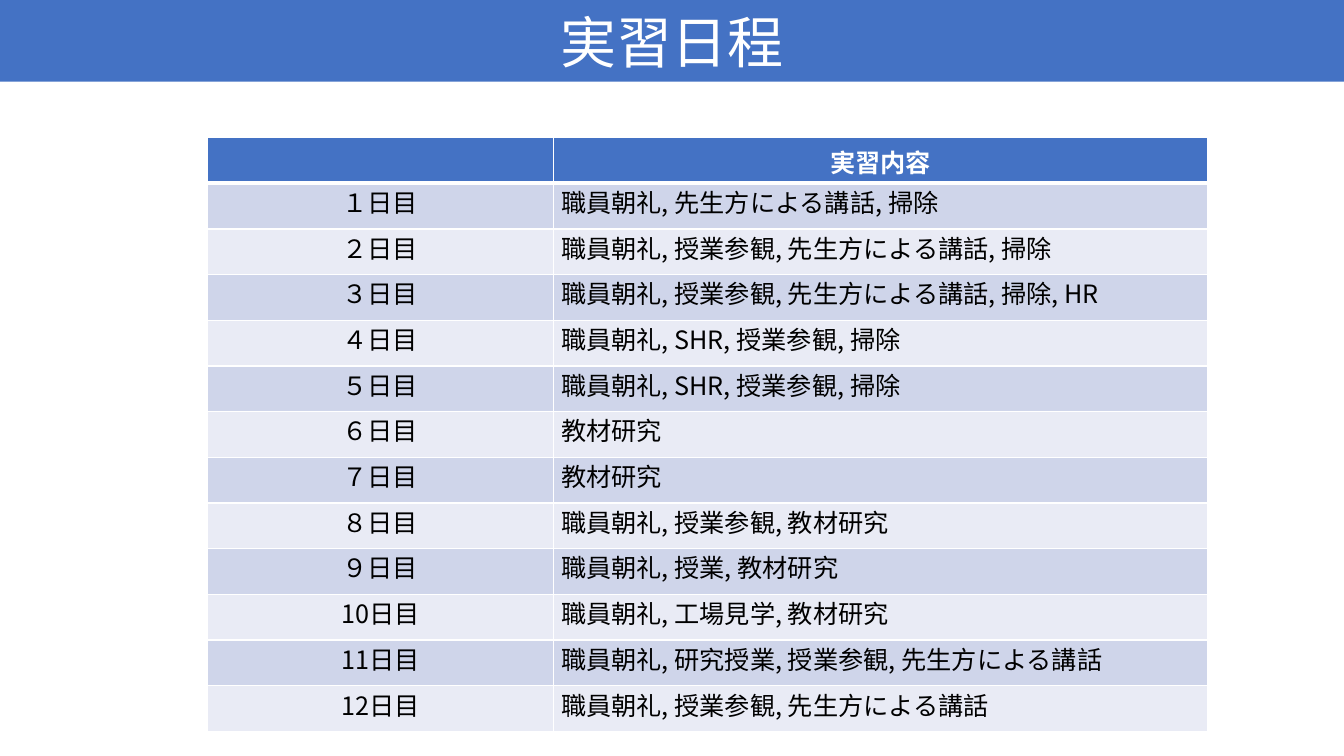
from lxml.etree import SubElement as Sub
from pptx import Presentation
from pptx.dml.color import RGBColor as RGB
from pptx.enum.shapes import MSO_SHAPE as Shape
from pptx.enum.text import MSO_ANCHOR as Anchor, PP_ALIGN as Align
from pptx.oxml.ns import qn
from pptx.util import Pt

BLUE, WHITE, BLACK = "4472C4", "FFFFFF", "000000"
BANDS = ["CFD5EA", "E9EBF5"]
PLAN = [
    ("１日目", "職員朝礼, 先生方による講話, 掃除"),
    ("２日目", "職員朝礼, 授業参観, 先生方による講話, 掃除"),
    ("３日目", "職員朝礼, 授業参観, 先生方による講話, 掃除, HR"),
    ("４日目", "職員朝礼, SHR, 授業参観, 掃除"),
    ("５日目", "職員朝礼, SHR, 授業参観, 掃除"),
    ("６日目", "教材研究"),
    ("７日目", "教材研究"),
    ("８日目", "職員朝礼, 授業参観, 教材研究"),
    ("９日目", "職員朝礼, 授業, 教材研究"),
    ("10日目", "職員朝礼, 工場見学, 教材研究"),
    ("11日目", "職員朝礼, 研究授業, 授業参観, 先生方による講話"),
    ("12日目", "職員朝礼, 授業参観, 先生方による講話"),
]


def paint(fill, color):
    fill.solid()
    fill.fore_color.rgb = RGB.from_string(color)


class Deck:
    """Holds the text style and the slide being built."""

    font = "Noto Sans CJK JP"

    def __init__(self, slide):
        self.slide = slide

    def label(self, frame, text, size, color, align, bold=False):
        frame.text = text
        para = frame.paragraphs[0]
        para.alignment = align
        for run in para.runs:
            font = run.font
            font.size, font.bold, font.name = Pt(size), bold, self.font
            paint(font.fill, color)
            Sub(run._r.get_or_add_rPr(), qn("a:ea"), typeface=self.font)

    def banner(self, text, wide, high):
        bar = self.slide.shapes.add_shape(Shape.RECTANGLE, 0, 0, Pt(wide), Pt(high))
        bar.shadow.inherit = False
        paint(bar.fill, BLUE)
        bar.line.fill.background()
        bar.text_frame.vertical_anchor = Anchor.MIDDLE
        self.label(bar.text_frame, text, 40, WHITE, Align.CENTER)

    def edge(self, cell, side, width):
        props = cell._tc.get_or_add_tcPr()
        line = Sub(props, qn("a:ln" + side), w=str(Pt(width)))
        fill = Sub(line, qn("a:solidFill"))
        Sub(fill, qn("a:srgbClr"), val=WHITE)

    def cell(self, cell, text, row, col):
        head = row == 0
        thick = {0: "B", 1: "T"}.get(row)
        for side in "LRTB":
            self.edge(cell, side, 3 if side == thick else 1)
        paint(cell.fill, BLUE if head else BANDS[(row - 1) % 2])
        cell.margin_left = cell.margin_right = Pt(8 if head else 5.4)
        cell.margin_top = Pt(4 if head else 0)
        cell.margin_bottom = Pt(2 if head else 0)
        align = Align.CENTER if head or col == 0 else Align.JUSTIFY
        self.label(cell.text_frame, text, 18, WHITE if head else BLACK, align, head)

    def table(self, rows, left, top, widths, high):
        frame = self.slide.shapes.add_table(
            len(rows), len(widths), Pt(left), Pt(top),
            Pt(sum(widths)), Pt(high * len(rows)))
        grid = frame.table
        for col, wide in zip(grid.columns, widths):
            col.width = Pt(wide)
        for r, texts in enumerate(rows):
            grid.rows[r].height = Pt(high)
            for c, text in enumerate(texts):
                self.cell(grid.cell(r, c), text, r, c)


def main():
    show = Presentation()
    show.slide_width, show.slide_height = Pt(960), Pt(540)
    deck = Deck(show.slides.add_slide(show.slide_layouts[6]))
    deck.table([("", "実習内容")] + PLAN, 147.8, 98.3, [247.6, 467.2], 32.64)
    deck.banner("実習日程", 960, 58.3)
    show.save("out.pptx")


if __name__ == "__main__":
    main()
